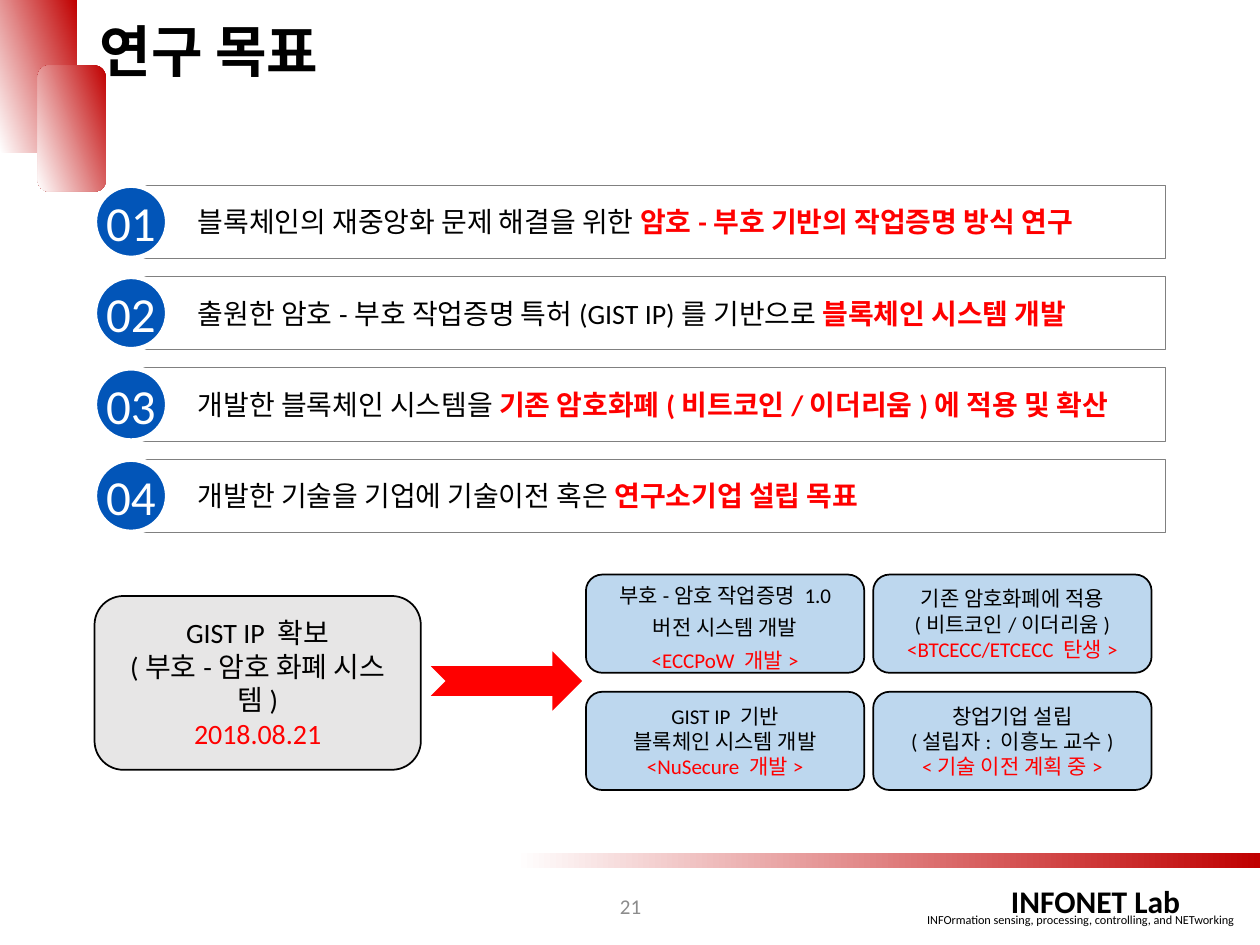
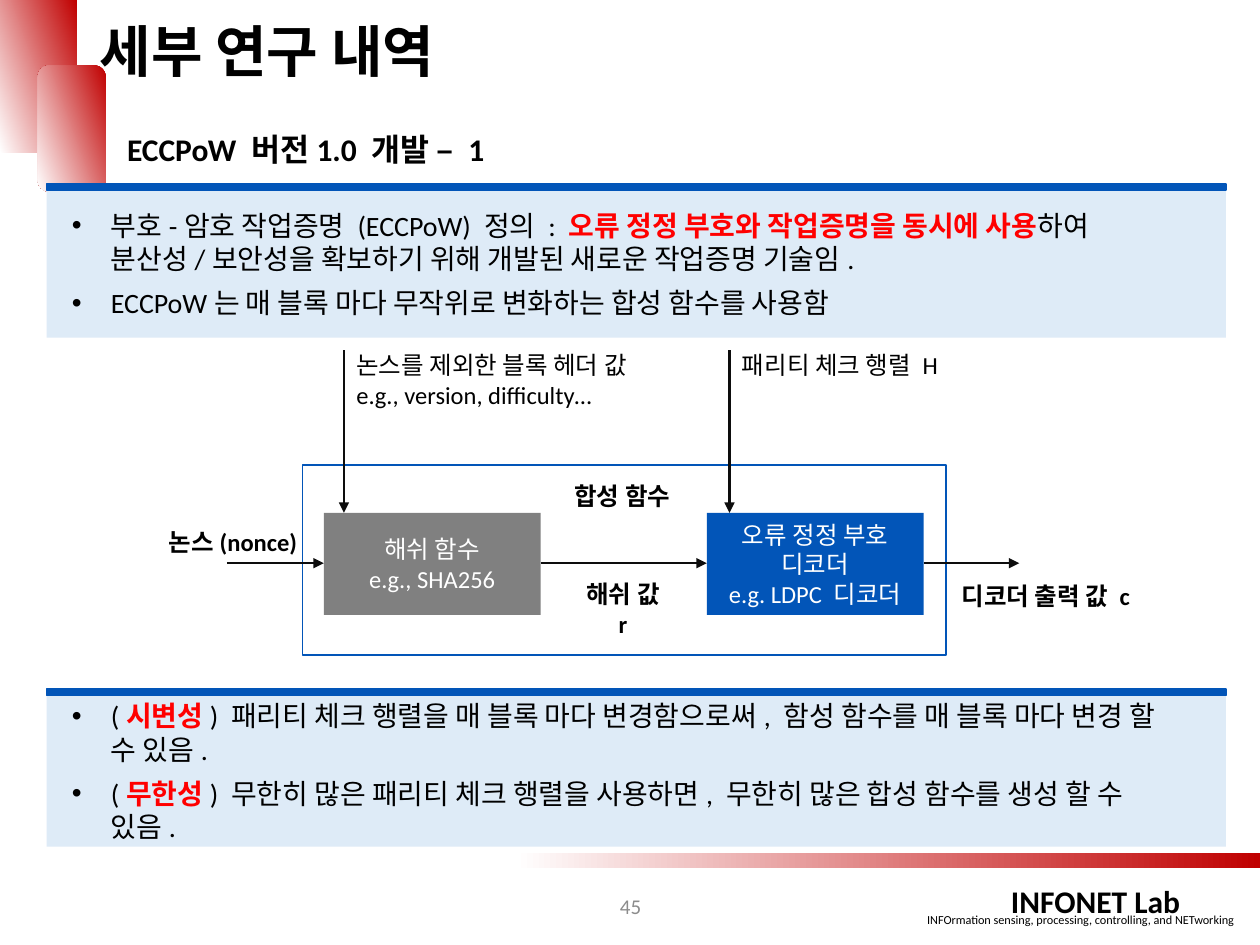
from lxml.etree import SubElement
from pptx import Presentation
from pptx.dml.color import RGBColor
from pptx.enum.shapes import MSO_CONNECTOR, MSO_SHAPE as Shape
from pptx.enum.text import MSO_ANCHOR as Anchor, MSO_AUTO_SIZE, PP_ALIGN as Align
from pptx.oxml.ns import qn
from pptx.util import Inches, Pt

FONT = "Calibri"
BLACK, WHITE, GRAY, INK = "000000", "FFFFFF", "808080", "0D0D0D"
RED, DARK_RED, BLUE = "FF0000", "C00000", "0255B8"
PALE_BLUE, CARD_BLUE, CARD_GRAY, NUMBER_GRAY = "DEEBF7", "BDD7EE", "E7E6E6", "8C8C8C"
ACCENT = {"color": RED}
STRONG = {"color": RED, "bold": True}
TITLE_ONLY, TWO_CONTENT = 5, 3

# Shared frame: box, shape, first colour, last colour, counter-clockwise angle
GRADIENTS = [
    ((0, 0, 0.61, 1.21), Shape.RECTANGLE, DARK_RED, WHITE, 200),
    ((0.3, 0.52, 0.54, 1), Shape.FLOWCHART_ALTERNATE_PROCESS, DARK_RED, WHITE, 200),
    ((4.09, 6.77, 5.91, 0.12), Shape.RECTANGLE, WHITE, DARK_RED, 0),
]
LAB_NAME = "INFONET Lab"
LAB_MOTTO = "INFOrmation sensing, processing, controlling, and NETworking"

# Slide 1: a run is a string or a (string, format) pair
GOALS = [
    ["블록체인의 재중앙화 문제 해결을 위한 ", ("암호-부호 기반의 작업증명 방식 연구", STRONG)],
    ["출원한 암호-부호 작업증명 특허(GIST IP)를 기반으로 ", ("블록체인 시스템 개발", STRONG)],
    ["개발한 블록체인 시스템을 ", ("기존 암호화폐(비트코인/이더리움)에 적용 및 확산", STRONG)],
    ["개발한 기술을 기업에 기술이전 혹은 ", ("연구소기업 설립 목표", STRONG)],
]
STARTING_POINT = [["GIST IP 확보"], ["(부호-암호 화폐 시스템)"], [("2018.08.21", ACCENT)]]
OUTCOMES = [
    [["부호-암호 작업증명 1.0 버전 시스템 개발"], [("<ECCPoW 개발>", ACCENT)]],
    [["기존 암호화폐에 적용"], ["(비트코인/이더리움)"], [("<BTCECC/ETCECC 탄생>", ACCENT)]],
    [["GIST IP 기반"], ["블록체인 시스템 개발"], [("<NuSecure 개발>", ACCENT)]],
    [["창업기업 설립"], ["(설립자: 이흥노 교수)"], [("<기술 이전 계획 중>", ACCENT)]],
]

# Slide 2
SUBTITLE = "ECCPoW 버전1.0 개발 – 1"
PANELS = [  # top, height, bullets
    (1.51, 1.17, [
        ["부호-암호 작업증명 (ECCPoW) 정의 : ",
         ("오류 정정 부호와 작업증명을 동시에 사용", STRONG),
         "하여 분산성/보안성을 확보하기 위해 개발된 새로운 작업증명 기술임."],
        ["ECCPoW는 매 블록 마다 무작위로 변화하는 합성 함수를 사용함"],
    ]),
    (5.52, 1.2, [
        ["(", ("시변성", STRONG),
         ") 패리티 체크 행렬을 매 블록 마다 변경함으로써, 함성 함수를 매 블록 마다 변경 할 수 있음."],
        ["(", ("무한성", STRONG),
         ") 무한히 많은 패리티 체크 행렬을 사용하면, 무한히 많은 합성 함수를 생성 할 수 있음."],
    ]),
]
STAGES = [  # left, fill, lines
    (2.57, GRAY, [["해쉬 함수"], ["e.g., SHA256"]]),
    (5.61, BLUE, [["오류 정정 부호"], ["디코더"], ["e.g. LDPC 디코더"]]),
]
STAGE_TOP, STAGE_WIDTH, STAGE_HEIGHT = 4.07, 1.72, 0.81
FLOW_Y = 4.47
ARROWS = [  # start, end
    ((1.8, FLOW_Y), (2.57, FLOW_Y)),
    ((4.29, FLOW_Y), (5.61, FLOW_Y)),
    ((7.33, FLOW_Y), (8.09, FLOW_Y)),
    ((2.73, 2.78), (2.73, STAGE_TOP)),
    ((5.79, 2.78), (5.79, STAGE_TOP)),
]
INPUT_LABELS = [
    ((2.73, 2.73, 2.54, 0.57), [["논스를 제외한 블록 헤더 값"], ["e.g., version, difficulty…"]]),
    ((5.79, 2.73, 2, 0.34), [["패리티 체크 행렬 H"]]),
]
FLOW_LABELS = [
    ((1.24, 4.13, 1.69, 0.34), "논스(nonce)", Align.LEFT),
    ((4.52, 4.55, 0.85, 0.57), "해쉬 값 r", Align.CENTER),
    ((7.3, 4.56, 2, 0.34), "디코더 출력 값 c", Align.CENTER),
    ((4.34, 3.77, 1.2, 0.34), "합성 함수", Align.CENTER),
]


def rgb(color):
    return RGBColor.from_string(color)


def place(shape, box):
    for name, value in zip(("left", "top", "width", "height"), box):
        setattr(shape, name, Inches(value))


def add_bullet(paragraph):
    properties = paragraph._p.get_or_add_pPr()
    properties.set("marL", str(Inches(0.31)))
    properties.set("indent", str(-Inches(0.31)))
    SubElement(properties, qn("a:buChar"), char="•")


def write(shape, paragraphs, size, color=BLACK, bold=False, align=Align.LEFT,
          anchor=Anchor.TOP, margins=(0.1, 0.05, 0.1, 0.05), bullets=False,
          space_before=0, line_spacing=1):
    frame = shape.text_frame
    frame_format = {"word_wrap": True, "auto_size": MSO_AUTO_SIZE.NONE, "vertical_anchor": anchor}
    for side, margin in zip(("left", "top", "right", "bottom"), margins):
        frame_format[f"margin_{side}"] = Inches(margin)
    for name, value in frame_format.items():
        setattr(frame, name, value)
    for index, runs in enumerate(paragraphs):
        paragraph = frame.add_paragraph() if index else frame.paragraphs[0]
        if bullets:
            add_bullet(paragraph)
        paragraph_format = {"alignment": align, "line_spacing": line_spacing,
                            "space_before": Pt(space_before if index else 0)}
        for name, value in paragraph_format.items():
            setattr(paragraph, name, value)
        for item in runs:
            text, special = (item, {}) if isinstance(item, str) else item
            run = paragraph.add_run()
            run.text = text
            run_format = {"name": FONT, "size": Pt(size), "bold": special.get("bold", bold)}
            for name, value in run_format.items():
                setattr(run.font, name, value)
            run.font.color.rgb = rgb(special.get("color", color))


def add_label(slide, box, paragraphs, size, **text_format):
    label = slide.shapes.add_textbox(*map(Inches, box))
    write(label, paragraphs, size, **text_format)


def add_block(slide, kind, box, fill=None, line=None, line_width=1):
    block = slide.shapes.add_shape(kind, *map(Inches, box))
    block.shadow.inherit = False
    if fill:
        block.fill.solid()
        block.fill.fore_color.rgb = rgb(fill)
    else:
        block.fill.background()
    if line:
        block.line.color.rgb = rgb(line)
        block.line.width = Pt(line_width)
    else:
        block.line.fill.background()
    return block


def add_arrow(slide, start, end):
    arrow = slide.shapes.add_connector(MSO_CONNECTOR.STRAIGHT, *map(Inches, start + end))
    arrow.line.color.rgb = rgb(INK)
    arrow.line.width = Pt(1.5)
    SubElement(arrow.line._get_or_add_ln(), qn("a:tailEnd"), type="triangle")
    SubElement(arrow._element.spPr, qn("a:effectLst"))


def add_framed_slide(presentation, layout, title, number):
    """Add a slide with the shared decoration, footer, title and page number."""
    slide = presentation.slides.add_slide(presentation.slide_layouts[layout])
    add_label(slide, (7.26, 7.19, 2.93, 0.22), [[LAB_MOTTO]], 7)
    add_label(slide, (7.39, 6.95, 2.61, 0.4), [[LAB_NAME]], 18, bold=True, align=Align.CENTER)
    for box, kind, first, last, angle in GRADIENTS:
        band = add_block(slide, kind, box)
        band.fill.gradient()
        band.fill.gradient_angle = angle
        for stop, color in zip(band.fill.gradient_stops, (first, last)):
            stop.color.rgb = rgb(color)
    # Placeholders go in front of the decoration
    for placeholder in list(slide.placeholders):
        slide.shapes._spTree.append(placeholder._element)
    place(slide.shapes.title, (0.69, 0.08, 8.64, 0.64))
    write(slide.shapes.title, [[title]], 32, bold=True)
    add_label(slide, (3.88, 6.99, 2.25, 0.4), [[str(number)]], 12, color=NUMBER_GRAY,
              align=Align.CENTER, anchor=Anchor.MIDDLE)
    return slide


def build_goals(presentation):
    slide = add_framed_slide(presentation, TITLE_ONLY, "연구 목표", 21)
    centred = {"align": Align.CENTER, "anchor": Anchor.MIDDLE}
    size = 0.58
    for index, goal in enumerate(GOALS):
        top = 1.47 + index * 0.725
        bar = add_block(slide, Shape.RECTANGLE, (1.06, top, 8.19, size), line=GRAY, line_width=0.5)
        write(bar, [goal], 16, anchor=Anchor.MIDDLE, margins=(0.51, 0.05, 0.1, 0.05))
        badge = add_block(slide, Shape.OVAL, (0.75, top, size, size), BLUE, WHITE, 3)
        write(badge, [[f"{index + 1:02}"]], 28, color=WHITE, margins=(0, 0, 0, 0), **centred)

    start = add_block(slide, Shape.ROUNDED_RECTANGLE, (0.75, 4.73, 2.59, 1.38), CARD_GRAY, BLACK)
    write(start, STARTING_POINT, 16, **centred)
    add_block(slide, Shape.NOTCHED_RIGHT_ARROW, (3.42, 5.17, 1.2, 0.47), RED)
    for index, lines in enumerate(OUTCOMES):
        row, column = divmod(index, 2)
        box = (4.65 + column * 2.28, 4.56 + row * 0.93, 2.21, 0.78)
        card = add_block(slide, Shape.ROUNDED_RECTANGLE, box, CARD_BLUE, BLACK)
        write(card, lines, 12, line_spacing=1 if index else 1.3, **centred)


def build_details(presentation):
    slide = add_framed_slide(presentation, TWO_CONTENT, "세부 연구 내역", 45)
    add_label(slide, (0.91, 0.98, 5.28, 0.4), [[SUBTITLE]], 18, bold=True)
    bodies = [item for item in slide.placeholders if item.placeholder_format.idx in (1, 2)]
    for body, (top, height, bullets) in zip(bodies, PANELS):
        place(body, (0.37, top, 9.36, height))
        body.fill.solid()
        body.fill.fore_color.rgb = rgb(PALE_BLUE)
        write(body, bullets, 16, anchor=Anchor.MIDDLE, margins=(0.2, 0.05, 0.39, 0.05),
              bullets=True, space_before=6)
        add_block(slide, Shape.RECTANGLE, (0.37, top - 0.05, 9.36, 0.05), BLUE, BLUE)

    add_block(slide, Shape.RECTANGLE, (2.4, 3.69, 5.11, 1.51), WHITE, BLUE)
    for left, fill, lines in STAGES:
        stage = add_block(slide, Shape.RECTANGLE, (left, STAGE_TOP, STAGE_WIDTH, STAGE_HEIGHT), fill)
        write(stage, lines, 14, color=WHITE, align=Align.CENTER, anchor=Anchor.MIDDLE)
    for start, end in ARROWS:
        add_arrow(slide, start, end)
    for box, lines in INPUT_LABELS:
        add_label(slide, box, lines, 14)
    for box, text, align in FLOW_LABELS:
        add_label(slide, box, [[text]], 14, bold=True, align=align)


def main():
    presentation = Presentation()
    presentation.slide_width, presentation.slide_height = Inches(10), Inches(7.5)
    build_goals(presentation)
    build_details(presentation)
    presentation.save("out.pptx")


if __name__ == "__main__":
    main()
